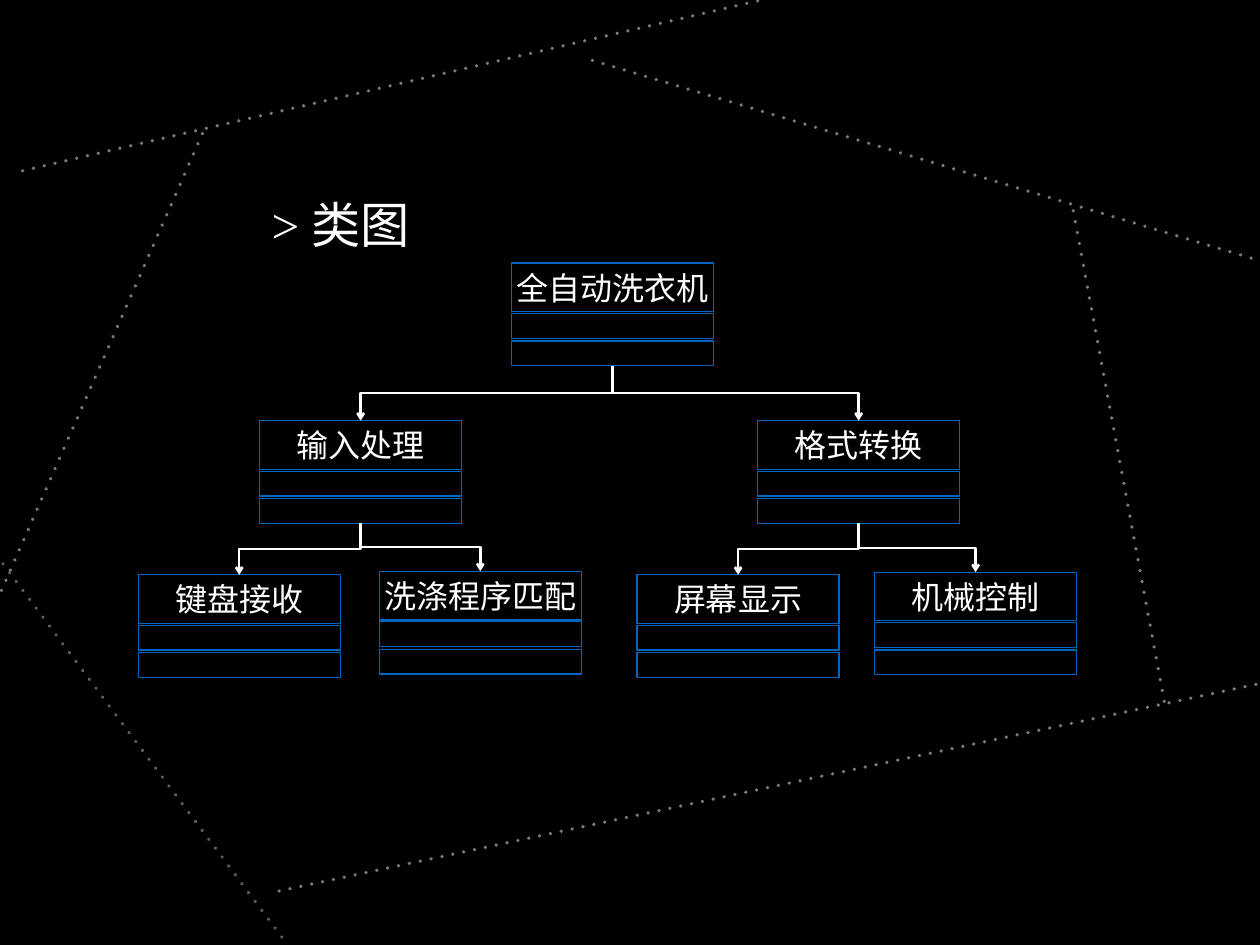
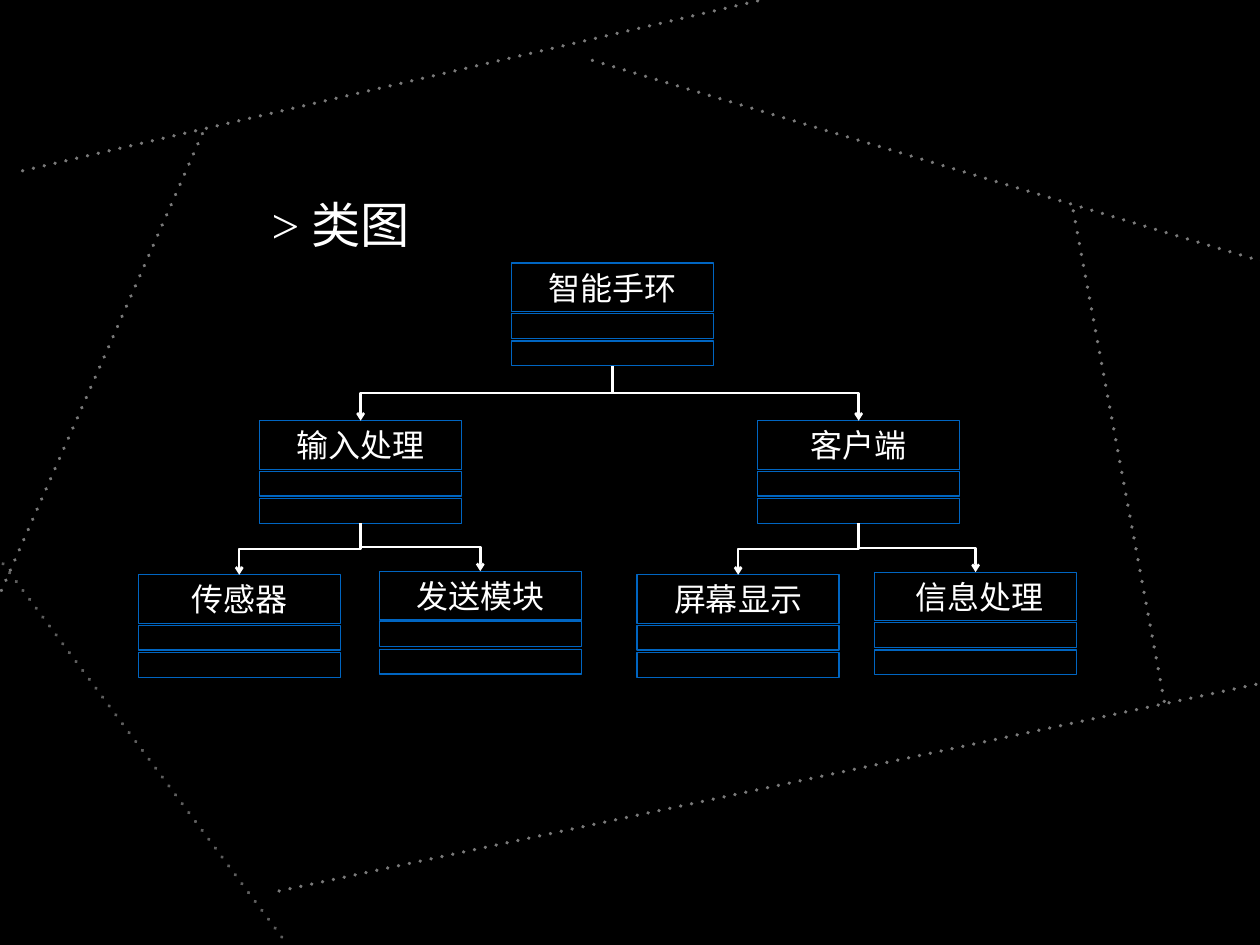
from dataclasses import dataclass

from lxml.etree import SubElement
from pptx import Presentation
from pptx.dml.color import RGBColor
from pptx.enum.shapes import MSO_CONNECTOR as Link, MSO_SHAPE as Preset
from pptx.enum.text import MSO_ANCHOR as Anchor, MSO_AUTO_SIZE as AutoSize, PP_ALIGN as Align
from pptx.oxml.ns import qn
from pptx.util import Inches, Pt


@dataclass(frozen=True)
class Theme:
    """Colours, fonts, type sizes and line widths of the deck."""
    ground: RGBColor = RGBColor(0x00, 0x00, 0x00)
    ink: RGBColor = RGBColor(0xFF, 0xFF, 0xFF)
    outline: RGBColor = RGBColor(0x00, 0x65, 0xC1)
    title_font: str = "Times New Roman"
    class_font: str = "Roboto"
    title_size: int = 40
    class_size: int = 26
    outline_width: int = 1
    arrow_width: int = 2
    dot_width: int = 3


THEME = Theme()
TITLE = "> 类图"
DIAGRAMS = [
    {"root": "全自动洗衣机", "input": "输入处理", "output": "格式转换",
     "input_a": "键盘接收", "input_b": "洗涤程序匹配",
     "output_a": "屏幕显示", "output_b": "机械控制"},
    {"root": "智能手环", "input": "输入处理", "output": "客户端",
     "input_a": "传感器", "input_b": "发送模块",
     "output_a": "屏幕显示", "output_b": " 信息处理"},
]
CLASS_PLACES = {
    "output": (8.55, 4.75), "root": (5.77, 2.97), "input": (2.93, 4.75),
    "input_a": (1.56, 6.49), "input_b": (4.28, 6.45),
    "output_a": (7.19, 6.49), "output_b": (9.87, 6.46),
}
CHILDREN = {"root": ("input", "output"), "input": ("input_a", "input_b"),
            "output": ("output_a", "output_b")}
DOTTED_LINES = [
    ((3.18, 10.58), (-0.06, 6.24), 36), ((-0.79, 8.5), (2.31, 1.45), 47),
    ((3.15, 10.06), (14.21, 7.72), 47), ((13.14, 7.92), (12.1, 2.31), 47),
    ((8.55, 0.01), (0.16, 1.95), 47), ((14.84, 3.13), (6.58, 0.65), 47),
]
CLASS_WIDTH, CLASS_HEIGHT = 2.28, 1.16
COMPARTMENTS = [(0, 0.55), (0.57, 0.28), (0.88, 0.28)]
MARGIN = 0.05


def add_line(page, kind, start, end, width):
    """Add a flat connector and return it with its line element."""
    line = page.shapes.add_connector(kind, *map(Inches, (*start, *end)))
    line.line.color.rgb = THEME.ink
    line.line.width = Pt(width)
    properties = line.element.spPr
    SubElement(properties, qn("a:effectLst"))
    return line, properties.find(qn("a:ln"))


def add_dotted_line(page, start, end, opacity):
    """Add one translucent line of round dots."""
    _, stroke = add_line(page, Link.STRAIGHT, start, end, THEME.dot_width)
    stroke.set("cap", "rnd")
    colour = stroke.find(qn("a:solidFill")).find(qn("a:srgbClr"))
    SubElement(colour, qn("a:alpha"), val=str(opacity * 1000))
    dashes = SubElement(stroke, qn("a:custDash"))
    SubElement(dashes, qn("a:ds"), d="100000", sp="200000")


def add_arrow(page, parent, child):
    """Join the foot of a parent class to the head of its child."""
    (parent_x, parent_y), (child_x, child_y) = CLASS_PLACES[parent], CLASS_PLACES[child]
    foot = parent_y + CLASS_HEIGHT
    drop, reach = child_y - foot, child_x - parent_x
    centre_x = (parent_x + child_x + CLASS_WIDTH) / 2
    centre_y = (foot + child_y) / 2
    side = 1 if reach > 0 else -1
    start = (centre_x + side * drop / 2, centre_y - abs(reach) / 2)
    end = (centre_x - side * drop / 2, centre_y + abs(reach) / 2)
    arrow, stroke = add_line(page, Link.ELBOW, start, end, THEME.arrow_width)
    quarter_turns = 3 if reach > 0 else 1
    arrow.element.spPr.find(qn("a:xfrm")).set("rot", str(quarter_turns * 5400000))
    SubElement(stroke, qn("a:tailEnd"), type="arrow")


def set_frame(frame, wrap):
    """Centre a text frame and give it narrow margins."""
    frame.auto_size = AutoSize.NONE
    frame.word_wrap = wrap
    frame.vertical_anchor = Anchor.MIDDLE
    frame.margin_left = frame.margin_right = Inches(MARGIN)
    frame.margin_top = frame.margin_bottom = Inches(MARGIN)
    para = frame.paragraphs[0]
    para.alignment = Align.CENTER
    return para


def add_span(para, text, font, size):
    """Add one run of light text."""
    span = para.add_run()
    span.text = text
    span.font.name = font
    span.font.size = Pt(size)
    span.font.color.rgb = THEME.ink


def add_title(page):
    """Place and fill the title."""
    title = page.shapes.title
    title.left, title.top, title.width, title.height = map(Inches, (2.93, 1.67, 1.83, 1.53))
    para = set_frame(title.text_frame, False)
    para.line_spacing, para.space_before = Pt(62), Pt(12)
    indents = para._p.get_or_add_pPr()
    indents.set("marL", str(Inches(0.5)))
    indents.set("indent", str(-Inches(0.5)))
    add_span(para, TITLE, THEME.title_font, THEME.title_size)


def add_class(page, name, left, top):
    """Add a class as a group of three compartments."""
    group = page.shapes.add_group_shape()
    for index, (offset, height) in enumerate(COMPARTMENTS):
        box = group.shapes.add_shape(
            Preset.RECTANGLE, *map(Inches, (left, top + offset, CLASS_WIDTH, height)))
        box.shadow.inherit = False
        box.fill.background()
        box.line.color.rgb = THEME.outline
        box.line.width = Pt(THEME.outline_width)
        if index == 0:
            para = set_frame(box.text_frame, True)
            add_span(para, name, THEME.class_font, THEME.class_size)


def add_diagram(deck, names):
    """Build one class diagram page."""
    page = deck.slides.add_slide(deck.slide_layouts.get_by_name("Title Only"))
    for start, end, opacity in DOTTED_LINES:
        add_dotted_line(page, start, end, opacity)
    add_title(page)
    for key, (left, top) in CLASS_PLACES.items():
        add_class(page, names[key], left, top)
    for parent, children in CHILDREN.items():
        for child in children:
            add_arrow(page, parent, child)


def main():
    """Build and save the deck."""
    deck = Presentation()
    deck.slide_width, deck.slide_height = Inches(14.22), Inches(10.67)
    ground = deck.slide_master.background.fill
    ground.solid()
    ground.fore_color.rgb = THEME.ground
    for names in DIAGRAMS:
        add_diagram(deck, names)
    deck.save("out.pptx")


main()
